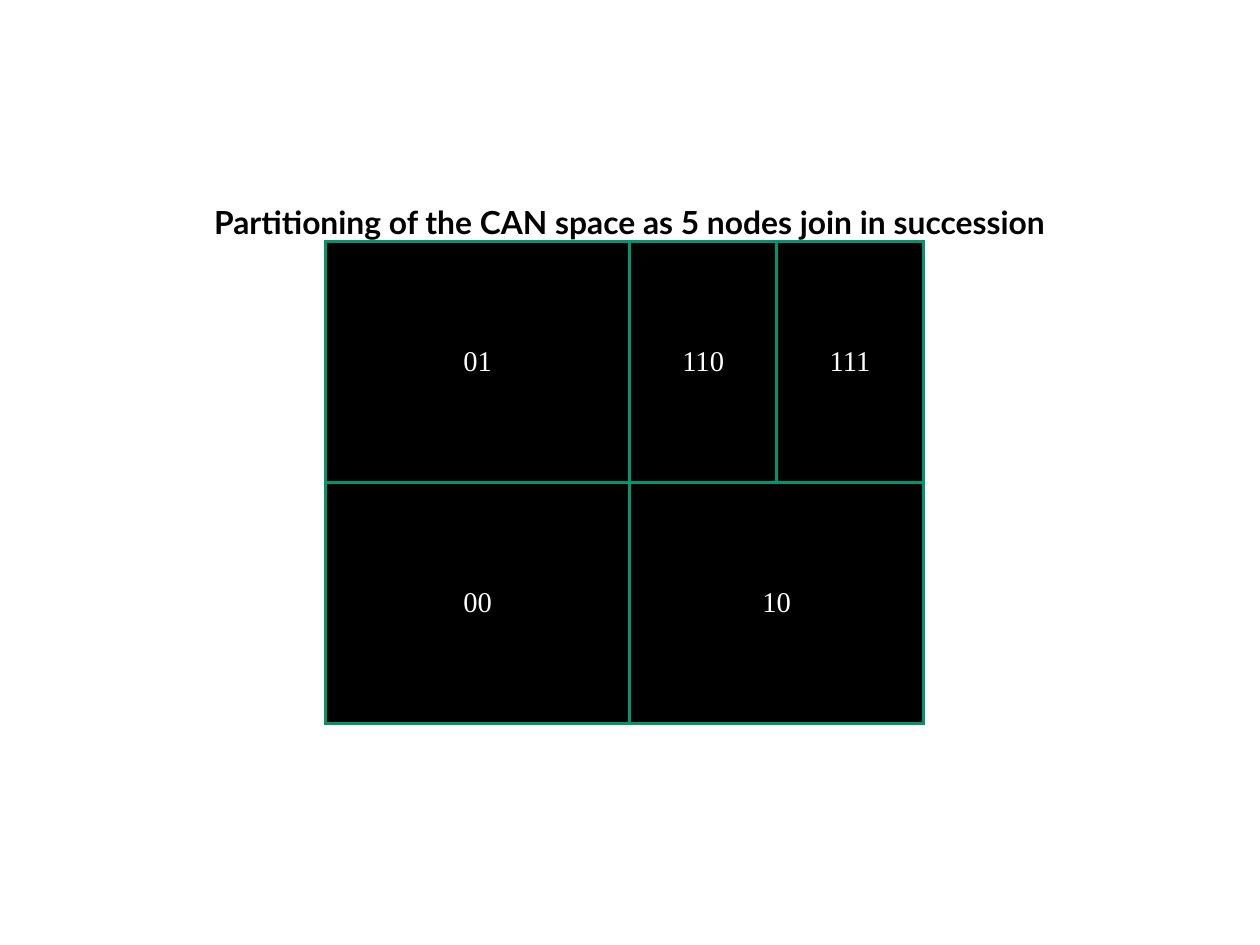
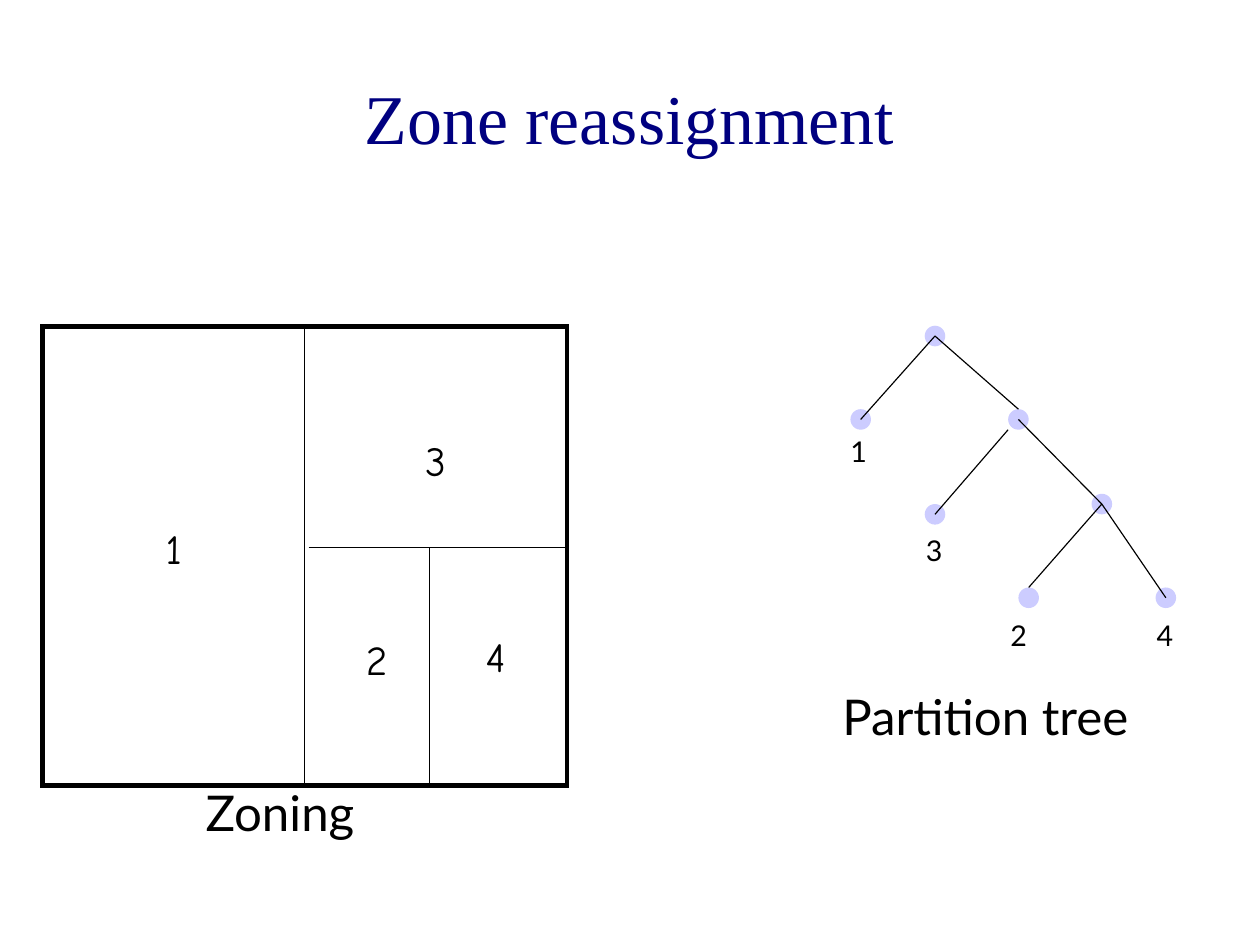
from lxml import etree
from pptx import Presentation
from pptx.dml.color import RGBColor
from pptx.enum import shapes, text
from pptx.oxml.ns import qn
from pptx.util import Inches, Pt

CM_PER_INCH = 2.54
SLIDE_SIZE_CM = (28, 21)
BLACK, WHITE, GREEN, NAVY, LILAC = "000000", "FFFFFF", "00956F", "000080", "CCCCFF"
SERIF, SANS, COMIC = "Times New Roman", "Lato", "Comic Neue"
LINE_SPACING = 0.93

CAPTION = "Partitioning of the CAN space as 5 nodes join in succession"
SPACE_LEFT, SPACE_TOP = 2.85, 2.11
LEFT_WIDTH, RIGHT_WIDTH, ROW_HEIGHT = 2.66, 2.57, 2.11
PARTITIONS = [
    [("01", LEFT_WIDTH), ("110", RIGHT_WIDTH / 2), ("111", RIGHT_WIDTH / 2)],
    [("00", LEFT_WIDTH), ("10", RIGHT_WIDTH)],
]

TITLE = "Zone reassignment"
FRAME = (0.37, 2.86, 4.59, 4.01)
ZONE_SPLITS = [((2.7, 4.79), (4.96, 4.79)), ((3.76, 4.79), (3.76, 6.87))]
ZONE_LABELS = [("1", 1.34, 4.56, 0.36), ("2", 3.09, 5.53, 0.41),
               ("3", 3.61, 3.79, 0.4), ("4", 4.14, 5.5, 0.4)]

RADIUS = 0.09
CENTRE, ABOVE, LOWER_LEFT = (0, 0), (0, -RADIUS), (-RADIUS, RADIUS)
TREE_NODES = {
    "root": (8.18, 2.94), "leaf 1": (7.53, 3.67), "right": (8.91, 3.67),
    "leaf 3": (8.18, 4.5), "inner": (9.64, 4.41),
    "leaf 2": (9, 5.23), "leaf 4": (10.2, 5.23),
}
TREE_EDGES = [
    ("root", CENTRE, "leaf 1", CENTRE), ("root", CENTRE, "right", ABOVE),
    ("right", CENTRE, "inner", CENTRE), ("right", LOWER_LEFT, "leaf 3", CENTRE),
    ("inner", CENTRE, "leaf 2", ABOVE), ("inner", CENTRE, "leaf 4", CENTRE),
]
TREE_LABELS = [("1", 7.33, 3.77), ("3", 7.99, 4.64), ("2", 8.73, 5.38), ("4", 10.01, 5.38)]
CAPTIONS = [("Zoning", 1.69, 6.84, 1.63), ("Partition tree", 7.26, 6, 2.89)]


def colour(value):
    return RGBColor.from_string(value)


def write(shape, words, font, size, ink, bold=False, centred=True,
          anchor=text.MSO_ANCHOR.MIDDLE, insets=(0.11, 0.06)):
    frame = shape.text_frame
    frame.margin_left = frame.margin_right = Inches(insets[0])
    frame.margin_top = frame.margin_bottom = Inches(insets[1])
    frame.vertical_anchor = anchor
    frame.word_wrap = True
    paragraph = frame.paragraphs[0]
    paragraph.text = words
    paragraph.alignment = text.PP_ALIGN.CENTER if centred else text.PP_ALIGN.LEFT
    paragraph.line_spacing = LINE_SPACING
    paragraph.font.name = font
    paragraph.font.size = Pt(size)
    paragraph.font.bold = bold
    paragraph.font.color.rgb = colour(ink)


def add_heading(slide, box, words, font, size, ink, bold=False):
    shape = slide.shapes.add_textbox(*map(Inches, box))
    write(shape, words, font, size, ink, bold, insets=(0, 0))


def add_label(slide, box, words, font, size, anchor=text.MSO_ANCHOR.BOTTOM):
    shape = slide.shapes.add_textbox(*map(Inches, box))
    write(shape, words, font, size, BLACK, centred=False, anchor=anchor)
    shape.text_frame.word_wrap = False
    shape.text_frame.auto_size = text.MSO_AUTO_SIZE.SHAPE_TO_FIT_TEXT


def add_block(slide, kind, box, fill=None, line=None, width=0):
    shape = slide.shapes.add_shape(kind, *map(Inches, box))
    shape.shadow.inherit = False
    if fill:
        shape.fill.solid()
        shape.fill.fore_color.rgb = colour(fill)
    else:
        shape.fill.background()
    if line:
        shape.line.color.rgb = colour(line)
        shape.line.width = Pt(width)
        outline = shape._element.spPr.find(qn("a:ln"))
        etree.SubElement(outline, qn("a:miter"), lim="800000")
    else:
        shape.line.fill.background()
    return shape


def add_line(slide, start, end):
    connector = slide.shapes.add_connector(
        shapes.MSO_CONNECTOR.STRAIGHT, *map(Inches, (*start, *end)))
    connector.line.color.rgb = colour(BLACK)
    connector.line.width = Pt(0.75)
    etree.SubElement(connector._element.spPr, qn("a:effectLst"))
    return connector


def shifted(node, offset):
    return tuple(a + b for a, b in zip(TREE_NODES[node], offset))


def build_partitioning(slide):
    add_heading(slide, (1.65, 1.76, 7.72, 0.4), CAPTION, SANS, 20, BLACK, bold=True)
    for row, cells in enumerate(PARTITIONS):
        left = SPACE_LEFT
        for code, width in cells:
            box = (left, SPACE_TOP + row * ROW_HEIGHT, width, ROW_HEIGHT)
            cell = add_block(slide, shapes.MSO_SHAPE.RECTANGLE, box, BLACK, GREEN, 2)
            write(cell, code, SERIF, 18, WHITE)
            left += width


def build_reassignment(slide):
    add_heading(slide, (0.55, 0.37, 9.92, 1.38), TITLE, SERIF, 44, NAVY)
    frame = add_block(slide, shapes.MSO_SHAPE.RECTANGLE, FRAME, line=BLACK, width=3)
    middle = FRAME[0] + FRAME[2] / 2
    divider = add_line(slide, (middle, FRAME[1]), (middle, FRAME[1] + FRAME[3]))
    divider.begin_connect(frame, 0)
    divider.end_connect(frame, 2)
    for start, end in ZONE_SPLITS:
        add_line(slide, start, end)
    for words, left, top, width in ZONE_LABELS:
        add_label(slide, (left, top, width, 0.51), words, COMIC, 26, text.MSO_ANCHOR.TOP)

    for x, y in TREE_NODES.values():
        box = (x - RADIUS, y - RADIUS, 2 * RADIUS, 2 * RADIUS)
        add_block(slide, shapes.MSO_SHAPE.OVAL, box, LILAC)
    for parent, start, child, end in TREE_EDGES:
        add_line(slide, shifted(parent, start), shifted(child, end))
    for words, left, top in TREE_LABELS:
        add_label(slide, (left, top, 0.36, 0.39), words, SANS, 18)
    for words, left, top, width in CAPTIONS:
        add_label(slide, (left, top, width, 0.59), words, SANS, 31)


def main():
    presentation = Presentation()
    width, height = (Inches(side / CM_PER_INCH) for side in SLIDE_SIZE_CM)
    presentation.slide_width = width
    presentation.slide_height = height
    for build in (build_partitioning, build_reassignment):
        build(presentation.slides.add_slide(presentation.slide_layouts[6]))
    presentation.save("out.pptx")


if __name__ == "__main__":
    main()
